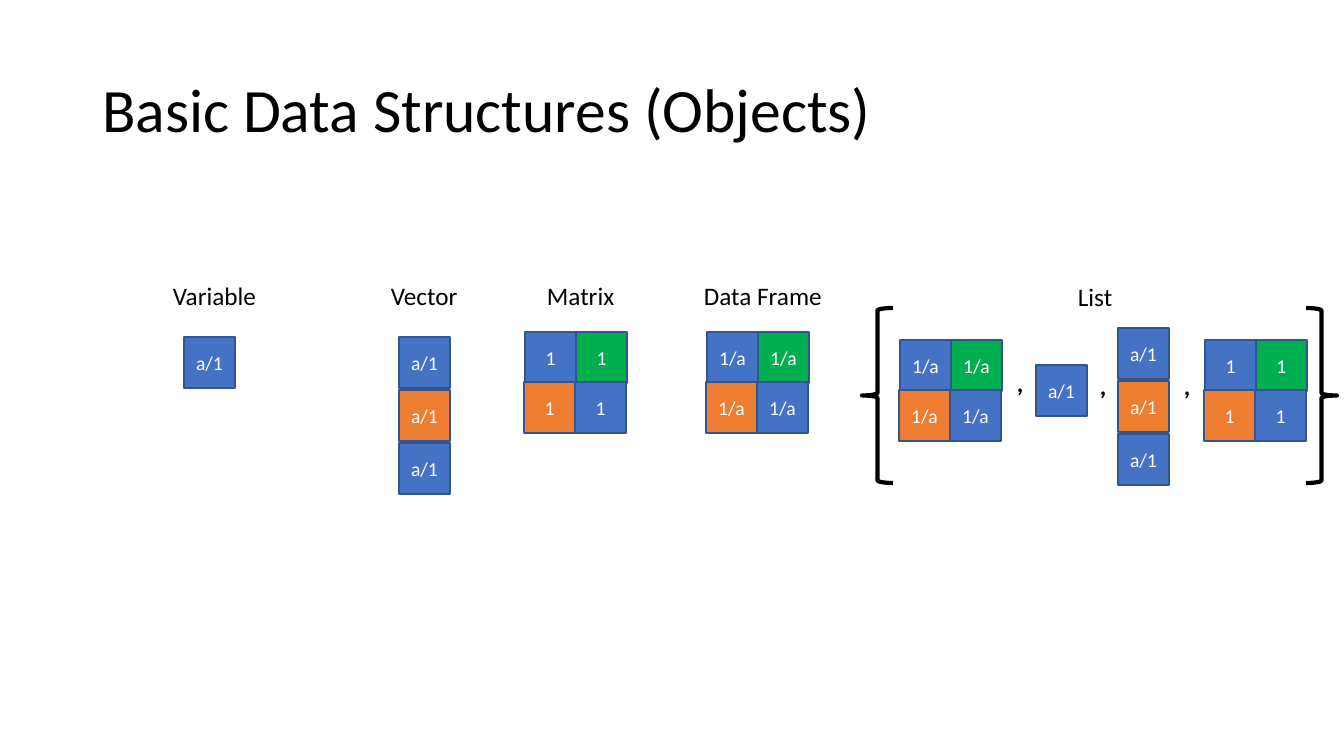
from pptx import Presentation
from pptx.dml.color import RGBColor
from pptx.enum.shapes import MSO_SHAPE
from pptx.enum.text import MSO_ANCHOR, MSO_AUTO_SIZE, PP_ALIGN
from pptx.util import Pt

RECTANGLE, LEFT_BRACE = MSO_SHAPE.RECTANGLE, MSO_SHAPE.LEFT_BRACE
MIDDLE = MSO_ANCHOR.MIDDLE
FIT_SHAPE = MSO_AUTO_SIZE.SHAPE_TO_FIT_TEXT
LEFT, CENTER = PP_ALIGN.LEFT, PP_ALIGN.CENTER

BLACK = RGBColor(0x00, 0x00, 0x00)
WHITE = RGBColor(0xFF, 0xFF, 0xFF)
BLUE = RGBColor(0x44, 0x72, 0xC4)
NAVY = RGBColor(0x32, 0x54, 0x91)
ORANGE = RGBColor(0xED, 0x7D, 0x31)
GREEN = RGBColor(0x00, 0xB0, 0x50)

SLIDE_WIDTH, SLIDE_HEIGHT = 1344, 756
EMU_PER_PX = 12192000 / SLIDE_WIDTH
TITLE_ONLY = 5


def px(length):
    return round(length * EMU_PER_PX)


class DataStructureSlide:
    font_name = "Calibri"
    cell_size = 51
    vector_pitch = 53
    grid_row_pitch = 50
    label_height = 40

    def __init__(self, presentation):
        layout = presentation.slide_layouts[TITLE_ONLY]
        self.slide = presentation.slides.add_slide(layout)

    def set_text(self, text_frame, text, size, color, align=LEFT, bold=False):
        text_frame.text = text
        paragraph = text_frame.paragraphs[0]
        paragraph.alignment = align
        font = paragraph.runs[0].font
        font.name, font.size, font.bold = self.font_name, Pt(size), bold
        font.color.rgb = color

    def title(self, text, left, top, width, height):
        shape = self.slide.shapes.title
        shape.left, shape.top = px(left), px(top)
        shape.width, shape.height = px(width), px(height)
        shape.text_frame.vertical_anchor = MIDDLE
        self.set_text(shape.text_frame, text, 44, BLACK)
        shape.text_frame.paragraphs[0].line_spacing = 0.9

    def label(self, text, left, top, width, bold=False):
        shape = self.slide.shapes.add_textbox(
            px(left), px(top), px(width), px(self.label_height))
        shape.text_frame.word_wrap = False
        shape.text_frame.auto_size = FIT_SHAPE
        self.set_text(shape.text_frame, text, 18, BLACK, bold=bold)

    def outline(self, preset, left, top, width, height, color, weight):
        shape = self.slide.shapes.add_shape(
            preset, px(left), px(top), px(width), px(height))
        shape.shadow.inherit = False
        shape.line.color.rgb = color
        shape.line.width = Pt(weight)
        return shape

    def cell(self, text, left, top, fill=BLUE):
        shape = self.outline(RECTANGLE, left, top, self.cell_size,
                             self.cell_size, NAVY, 1)
        shape.fill.solid()
        shape.fill.fore_color.rgb = fill
        shape.text_frame.vertical_anchor = MIDDLE
        self.set_text(shape.text_frame, text, 14, WHITE, CENTER)

    def vector(self, text, left, top):
        for row, fill in enumerate((BLUE, ORANGE, BLUE)):
            self.cell(text, left, top + row * self.vector_pitch, fill)

    def grid(self, text, left, top):
        # The lower row sits one px to the left of the upper one
        for row, fills in enumerate(((BLUE, GREEN), (ORANGE, BLUE))):
            for column, fill in enumerate(fills):
                self.cell(text, left + column * self.cell_size - row,
                          top + row * self.grid_row_pitch, fill)

    def brace(self, left, top, width, height, rotation=0):
        shape = self.outline(LEFT_BRACE, left, top, width, height, BLACK, 3)
        shape.fill.background()
        shape.rotation = rotation


def main():
    presentation = Presentation()
    presentation.slide_width = px(SLIDE_WIDTH)
    presentation.slide_height = px(SLIDE_HEIGHT)
    page = DataStructureSlide(presentation)

    # Title and headings
    page.title("Basic Data Structures (Objects)", 92, 40, 1159, 146)
    for text, left, top, width in (
            ("Variable", 163, 275, 105), ("Vector", 381, 275, 88),
            ("Matrix", 537, 275, 88), ("Data Frame", 694, 275, 139),
            ("List", 1068, 276, 55)):
        page.label(text, left, top, width)

    # Single structures
    page.cell("a/1", 184, 337)
    page.vector("a/1", 399, 337)
    page.grid("1", 525, 332)
    page.grid("1/a", 707, 332)

    # List members
    page.grid("1/a", 900, 340)
    page.cell("a/1", 1036, 365)
    page.vector("a/1", 1118, 328)
    page.grid("1", 1205, 340)

    # Braces and commas around the members
    for left, rotation in ((862, 0), (1306, 180)):
        page.brace(left, 308, 31, 175, rotation)
    for left, top in ((1007, 362), (1090, 365), (1174, 365)):
        page.label(",", left, top, 27, bold=True)

    presentation.save("out.pptx")


if __name__ == "__main__":
    main()
